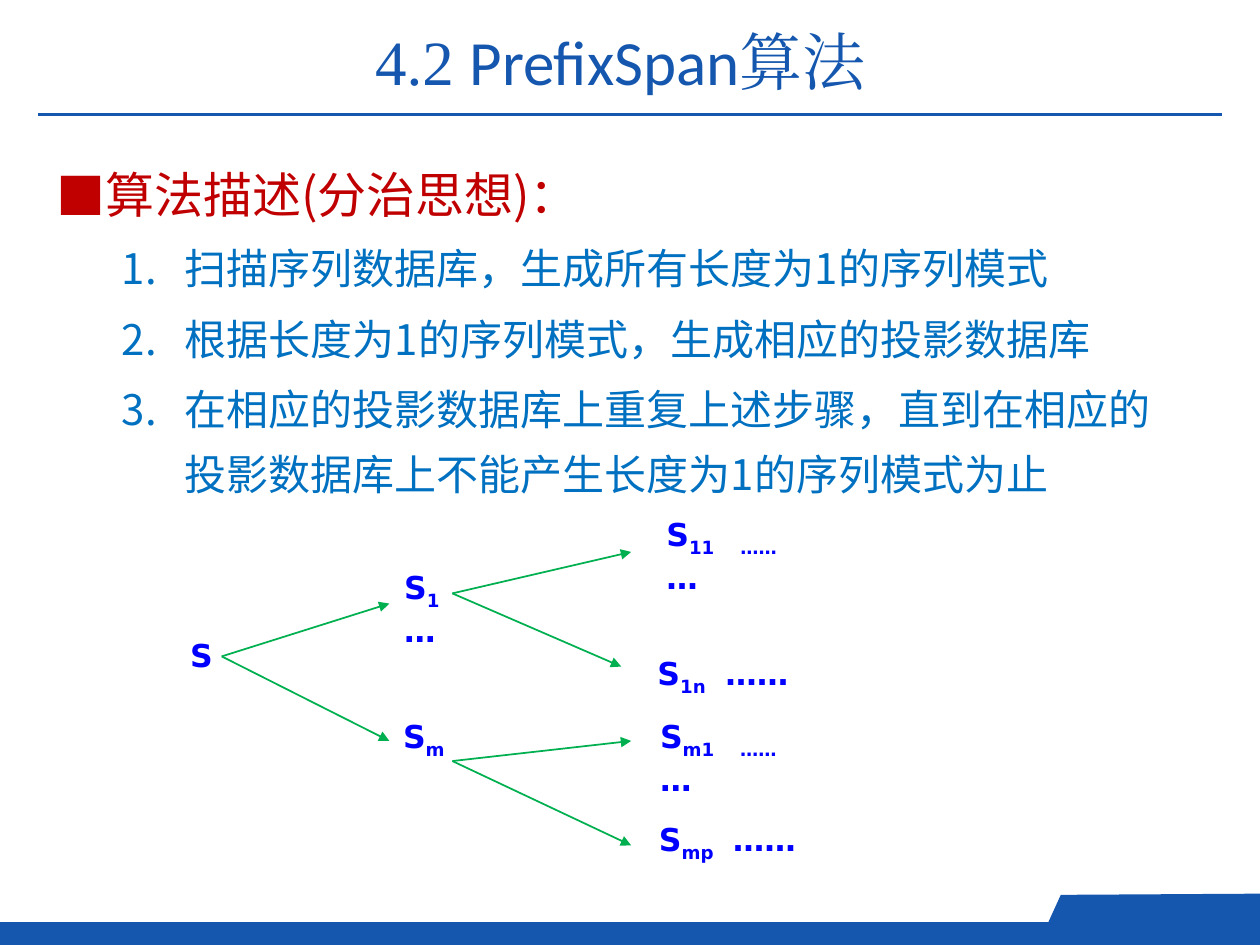
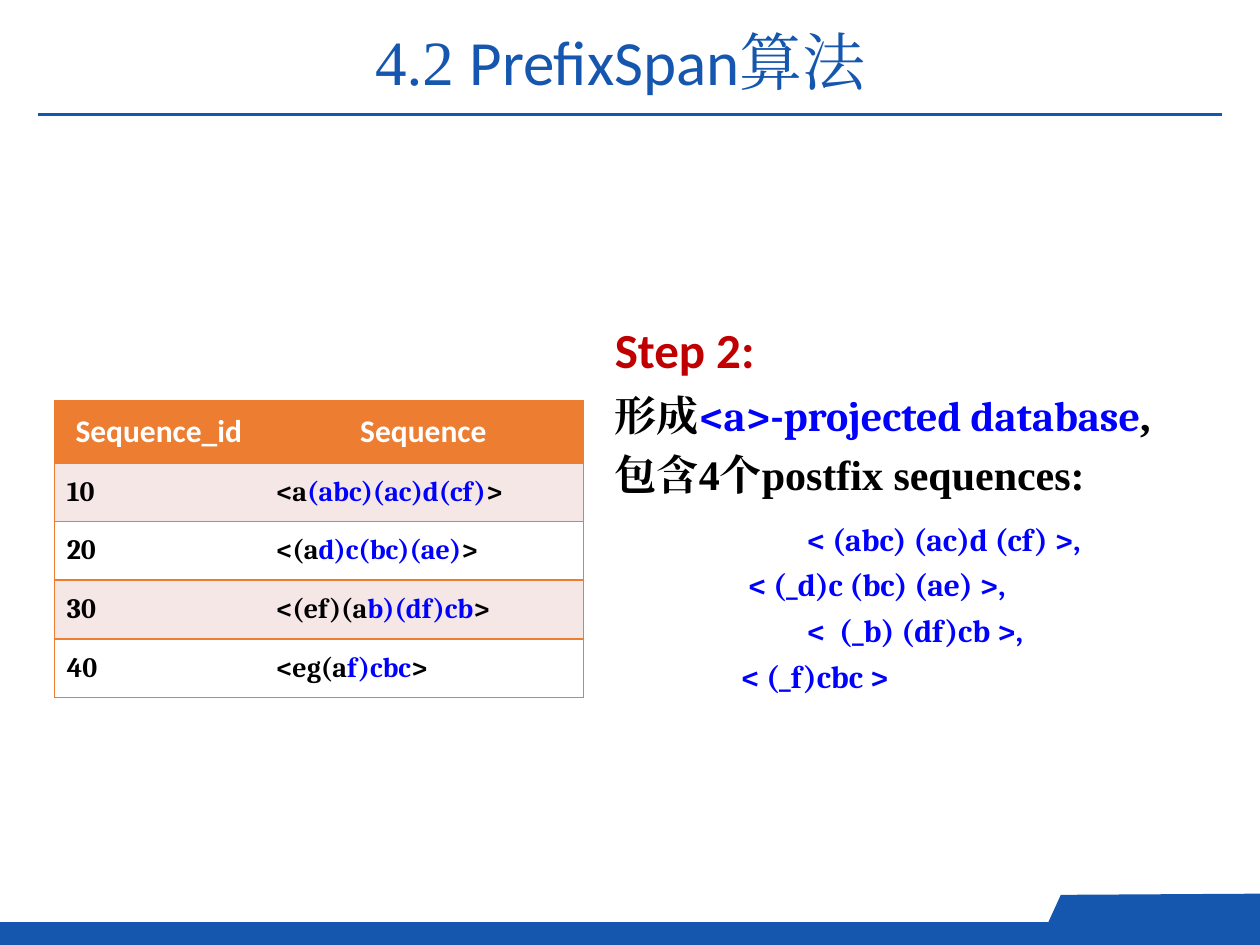
from lxml import etree
from pptx import Presentation
from pptx.dml.color import RGBColor
from pptx.enum.shapes import MSO_CONNECTOR, MSO_SHAPE
from pptx.enum.text import MSO_ANCHOR, PP_ALIGN
from pptx.oxml.ns import qn
from pptx.util import Pt

BAND_SHAPE = MSO_SHAPE.FLOWCHART_PROCESS
STRAIGHT = MSO_CONNECTOR.STRAIGHT
CENTER = PP_ALIGN.CENTER
MIDDLE = MSO_ANCHOR.MIDDLE

NAVY = RGBColor(0x15, 0x57, 0xAE)
RED = RGBColor(0xC0, 0x00, 0x00)
SKY = RGBColor(0x00, 0x70, 0xC0)
BLUE = RGBColor(0x00, 0x00, 0xFF)
GREEN = RGBColor(0x00, 0xB0, 0x50)
ORANGE = RGBColor(0xED, 0x7D, 0x31)
ROSE = RGBColor(0xF6, 0xE7, 0xE7)
WHITE = RGBColor(0xFF, 0xFF, 0xFF)
BLACK = RGBColor(0x00, 0x00, 0x00)

SERIF = "Times New Roman"
SANS = "Calibri"
CAMBRIA = "Cambria"
CJK = "Noto Sans CJK SC"
DEJAVU = "DejaVu Sans"

WIDTH, HEIGHT = 720, 540


def style(name, size, color, bold=False):
    return {"name": name, "size": Pt(size), "color": color, "bold": bold}


TITLE = style(SERIF, 36, NAVY)
TITLE_LATIN = style(SANS, 36, NAVY)
HEADING = style(CJK, 28, RED)
STEP = style(CJK, 24, SKY)
NODE = style(DEJAVU, 18, BLUE, True)
STEP_LABEL = style(SANS, 28, RED, True)
STATEMENT = style(SERIF, 24, BLACK, True)
STATEMENT_KEY = style(CAMBRIA, 24, BLUE, True)
POSTFIX = style(CAMBRIA, 18, BLUE, True)
TABLE_HEAD = style(SANS, 18, WHITE, True)
TABLE_TEXT = style(CAMBRIA, 16, BLACK, True)
TABLE_KEY = style(CAMBRIA, 16, BLUE, True)


def add_run(paragraph, text, format_values, subscript=False):
    run = paragraph.add_run()
    run.text = text
    for attribute, value in format_values.items():
        if attribute == "color":
            run.font.color.rgb = value
        else:
            setattr(run.font, attribute, value)
    properties = run.font._element
    etree.SubElement(properties, qn("a:ea"), typeface=format_values["name"])
    if subscript:
        properties.set("baseline", "-25000")


def format_paragraph(paragraph, **values):
    for attribute, value in values.items():
        setattr(paragraph, attribute, value)


def add_paragraph(frame, first):
    return frame.paragraphs[0] if first else frame.add_paragraph()


def set_indent(paragraph, margin, hanging=0):
    properties = paragraph._p.get_or_add_pPr()
    properties.set("marL", str(Pt(margin)))
    properties.set("indent", str(-Pt(hanging)))
    return properties


def add_text_frame(slide, left, top, width, height):
    frame = slide.shapes.add_textbox(Pt(left), Pt(top), Pt(width), Pt(height)).text_frame
    frame.word_wrap = True
    return frame


def paint(shape, color):
    shape.shadow.inherit = False
    shape.fill.solid()
    shape.fill.fore_color.rgb = color
    shape.line.fill.background()


def add_line(slide, start, end, color, weight, arrow=False):
    connector = slide.shapes.add_connector(STRAIGHT, *(Pt(v) for v in (*start, *end)))
    connector.line.color.rgb = color
    connector.line.width = Pt(weight)
    if arrow:
        etree.SubElement(connector.line._get_or_add_ln(), qn("a:tailEnd"), type="triangle")
    etree.SubElement(connector._element.spPr, qn("a:effectLst"))


def add_footer(slide, top):
    band = slide.shapes.add_shape(BAND_SHAPE, 0, Pt(top), Pt(WIDTH), Pt(HEIGHT - top))
    paint(band, NAVY)
    outline = [(WIDTH, -15.9), (606.2, -15.2), (594.7, 10), (WIDTH, 10)]
    points = [(Pt(x), Pt(top + y)) for x, y in outline]
    builder = slide.shapes.build_freeform(*points[0])
    builder.add_line_segments(points[1:], close=True)
    paint(builder.convert_to_shape(), NAVY)


def add_title(slide, left, top, width, height):
    paragraph = add_text_frame(slide, left, top, width, height).paragraphs[0]
    paragraph.alignment = CENTER
    for text, format_values in (("4.2 ", TITLE), ("PrefixSpan", TITLE_LATIN), ("算法", TITLE)):
        add_run(paragraph, text, format_values)


def add_base_slide(presentation):
    slide = presentation.slides.add_slide(presentation.slide_layouts[6])
    add_footer(slide, 526.6)
    add_line(slide, (21.6, 65.3), (698.4, 65.3), NAVY, 1.5)
    add_title(slide, 65.5, 9.4, 578.2, 51)
    return slide


def add_algorithm_steps(slide, left, top, width, height):
    frame = add_text_frame(slide, left, top, width, height)
    heading = frame.paragraphs[0]
    properties = set_indent(heading, 27, 27)
    etree.SubElement(properties, qn("a:buFont"), typeface=CJK)
    etree.SubElement(properties, qn("a:buChar"), char="■")
    format_paragraph(heading, line_spacing=Pt(52.7))
    add_run(heading, "算法描述(分治思想)：", HEADING)
    steps = (
        "扫描序列数据库，生成所有长度为1的序列模式",
        "根据长度为1的序列模式，生成相应的投影数据库",
        "在相应的投影数据库上重复上述步骤，直到在相应的投影数据库上不能产生长度为1的序列模式为止",
    )
    for text in steps:
        paragraph = frame.add_paragraph()
        properties = set_indent(paragraph, 73.4, 36)
        etree.SubElement(properties, qn("a:buFont"), typeface=CJK)
        etree.SubElement(properties, qn("a:buAutoNum"), type="arabicPeriod")
        format_paragraph(paragraph, level=1, line_spacing=Pt(37.1), space_before=Pt(3))
        add_run(paragraph, text, STEP)


def add_node(slide, left, top, index, dots="", dots_tab=0, small_dots=False, more=False):
    """Adds S with its index, dots at a tab stop, and a line of dots below if more."""
    frame = add_text_frame(slide, left, top, 110, 51 if more else 29)
    paragraph = frame.paragraphs[0]
    if dots:
        tabs = etree.SubElement(paragraph._p.get_or_add_pPr(), qn("a:tabLst"))
        etree.SubElement(tabs, qn("a:tab"), pos=str(Pt(dots_tab)), algn="l")
    add_run(paragraph, "S", NODE)
    if index:
        add_run(paragraph, index, NODE, subscript=True)
    if dots:
        add_run(paragraph, "\t" + dots, NODE, subscript=small_dots)
    if more:
        add_run(frame.add_paragraph(), "…", NODE)


def add_projection_tree(slide, left, top):
    nodes = (
        (0, 69.1, dict(index="")),
        (122.4, 30.2, dict(index="1", more=True)),
        (121.7, 115.2, dict(index="m")),
        (272.2, 0, dict(index="11", dots="……", dots_tab=42.3, small_dots=True, more=True)),
        (267.1, 79.2, dict(index="1n", dots="……", dots_tab=38.9)),
        (268.6, 115.2, dict(index="m1", dots="……", dots_tab=45.7, small_dots=True, more=True)),
        (267.9, 174.2, dict(index="mp", dots="……", dots_tab=42.3)),
    )
    branches = (
        ((25.2, 84.2), ((121, 54), (121, 132.5))),
        ((157, 48.2), ((259.2, 24.5), (253.5, 90))),
        ((157, 144), ((259.2, 132.5), (259.2, 192.2))),
    )
    for x, y, content in nodes:
        add_node(slide, left + x, top + y, **content)
    for (x, y), tips in branches:
        for tip_x, tip_y in tips:
            add_line(slide, (left + x, top + y), (left + tip_x, top + tip_y), GREEN, 1, True)


def add_step_text(slide, left, top, width, height):
    frame = add_text_frame(slide, left, top, width, height)
    # Each line: indent, space before, runs
    lines = (
        (0, 0, [("Step 2:", STEP_LABEL)]),
        (0, 6, [("形成", STATEMENT), ("<a>-projected database", STATEMENT_KEY), (",", STATEMENT)]),
        (0, 5, [("包含4个postfix sequences:", STATEMENT)]),
        (109.7, 12, [("< (abc) (ac)d (cf) >,", POSTFIX)]),
        (76, 4.5, [("< (_d)c (bc) (ae) >,", POSTFIX)]),
        (109.7, 4.5, [("<  (_b) (df)cb >,", POSTFIX)]),
        (72, 4.5, [("< (_f)cbc >", POSTFIX)]),
    )
    for number, (indent, gap, runs) in enumerate(lines):
        paragraph = add_paragraph(frame, number == 0)
        set_indent(paragraph, indent)
        if gap:
            paragraph.space_before = Pt(gap)
        for text, format_values in runs:
            add_run(paragraph, text, format_values)


def set_borders(cell, sides):
    properties = cell._tc.get_or_add_tcPr()
    for position, side in enumerate(("L", "R", "T", "B")):
        line = etree.Element(qn(f"a:ln{side}"), w=str(Pt(1) if side in sides else 0))
        if side in sides:
            fill = etree.SubElement(line, qn("a:solidFill"))
            etree.SubElement(fill, qn("a:srgbClr"), val=str(ORANGE))
        else:
            etree.SubElement(line, qn("a:noFill"))
        properties.insert(position, line)


def fill_cell(cell, runs, color, sides):
    cell.vertical_anchor = MIDDLE
    cell.fill.solid()
    cell.fill.fore_color.rgb = color
    set_borders(cell, sides)
    paragraph = cell.text_frame.paragraphs[0]
    for text, format_values in runs:
        add_run(paragraph, text, format_values)
    return paragraph


def add_sequence_table(slide, left, top, width, height):
    sequences = (
        ("10", "<a", "(abc)(ac)d(cf)"),
        ("20", "<(a", "d)c(bc)(ae)"),
        ("30", "<(ef)(a", "b)(df)cb"),
        ("40", "<eg(a", "f)cbc"),
    )
    shape = slide.shapes.add_table(len(sequences) + 1, 2, Pt(left), Pt(top), Pt(width), Pt(height))
    table = shape.table
    id_width, head_height = 119.5, 35.5
    table.columns[0].width = Pt(id_width)
    table.columns[1].width = Pt(width - id_width)
    for number, row in enumerate(table.rows):
        row.height = Pt((height - head_height) / len(sequences) if number else head_height)
    outer_sides = ("LTB", "RTB")
    for column, text in enumerate(("Sequence_id", "Sequence")):
        paragraph = fill_cell(table.cell(0, column), [(text, TABLE_HEAD)], ORANGE, outer_sides[column])
        paragraph.alignment = CENTER
    for number, (sequence_id, prefix, postfix) in enumerate(sequences, 1):
        color = ROSE if number % 2 else WHITE
        sequence = [(prefix, TABLE_TEXT), (postfix, TABLE_KEY), (">", TABLE_TEXT)]
        for column, runs in enumerate(([(sequence_id, TABLE_TEXT)], sequence)):
            fill_cell(table.cell(number, column), runs, color, outer_sides[column])


def build_algorithm_slide(presentation):
    slide = add_base_slide(presentation)
    add_algorithm_steps(slide, 25.2, 71.3, 658, 226.8)
    add_projection_tree(slide, 101.5, 290.9)


def build_projection_slide(presentation):
    slide = add_base_slide(presentation)
    add_step_text(slide, 344.2, 179.3, 368.6, 268.6)
    add_sequence_table(slide, 31, 229, 302.4, 169.6)


def main():
    presentation = Presentation()
    presentation.slide_width = Pt(WIDTH)
    presentation.slide_height = Pt(HEIGHT)
    build_algorithm_slide(presentation)
    build_projection_slide(presentation)
    presentation.save("out.pptx")


if __name__ == "__main__":
    main()
